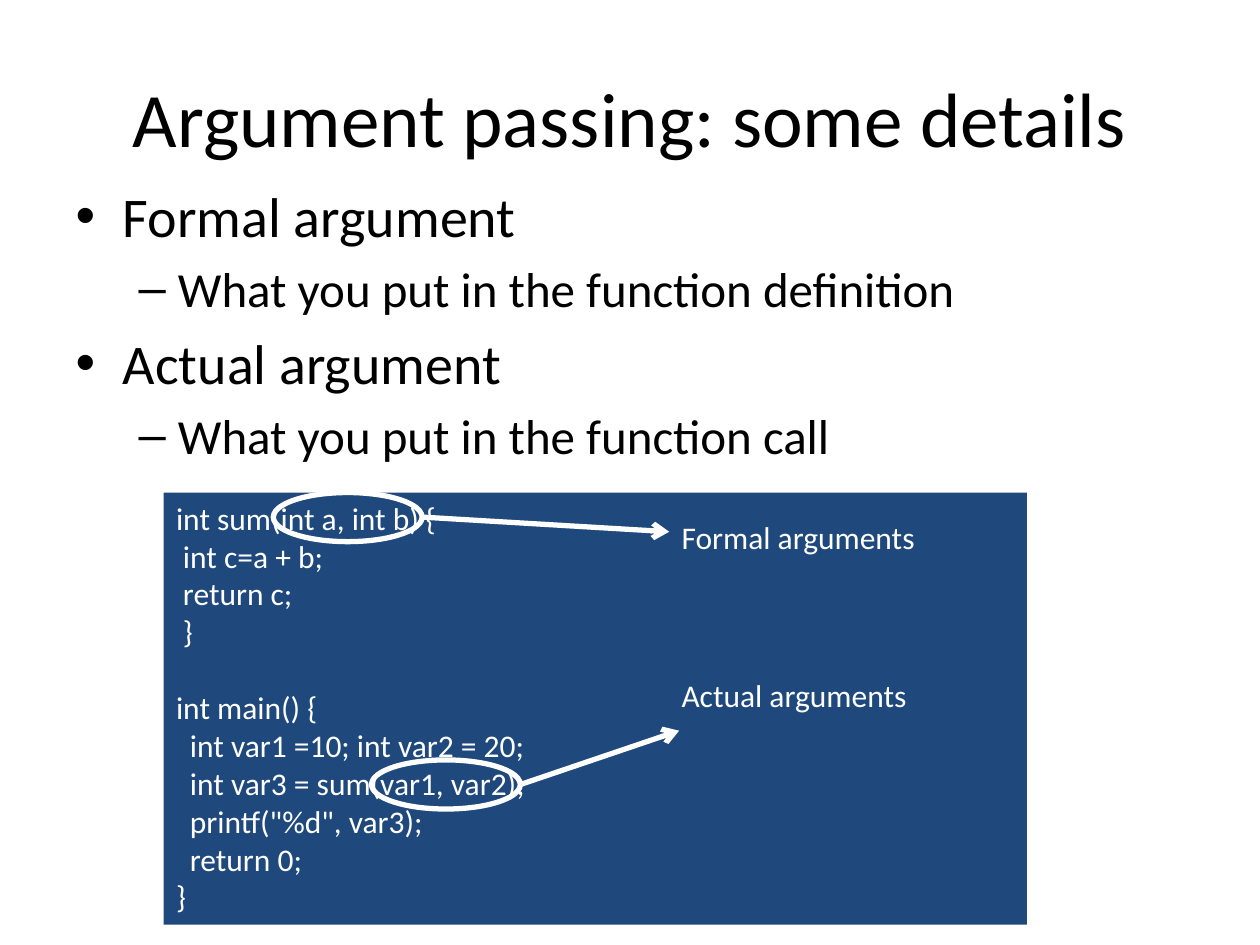
from lxml import etree
from pptx import Presentation
from pptx.dml.color import RGBColor
from pptx.enum import shapes, text
from pptx.oxml.ns import qn
from pptx.util import Cm, Pt

BLACK = RGBColor(0x00, 0x00, 0x00)
WHITE = RGBColor(0xFF, 0xFF, 0xFF)
NAVY = RGBColor(0x1F, 0x49, 0x7D)

TITLE = "Argument passing: some details"
BULLETS = [
    (0, "Formal argument"),
    (1, "What you put in the function definition"),
    (0, "Actual argument"),
    (1, "What you put in the function call"),
]
# Functions of the program: lists of (indent in characters, code)
CODE = [
    [
        (0, "int sum(int a, int b) {"),
        (1, "int c=a + b;"),
        (1, "return c;"),
        (1, "}"),
    ],
    [
        (0, "int main() {"),
        (2, "int var1 =10; int var2 = 20;"),
        (2, "int var3 = sum(var1, var2);"),
        (2, 'printf("%d", var3);'),
        (2, "return 0;"),
        (0, "}"),
    ],
]
# Label, label position, oval position, arrow tip (cm)
CALLOUTS = [
    ("Formal arguments", (13.49, 10.31), (5.51, 9.93), (13.49, 10.72)),
    ("Actual arguments", (13.49, 13.51), (7.49, 15.32), (13.69, 14.73)),
]
TITLE_BOX = (1.27, 0.76, 22.86, 3.18)
BODY_BOX = (1.27, 3.53, 22.86, 12.57)
CODE_BOX = (3.3, 9.93, 17.4, 8.71)
OVAL_SIZE = (3, 0.99)
LABEL_SIZE = (5.99, 1.02)
CHAR_INDENT = 0.14
LINE_HEIGHT = 22

BULLET_FONTS = [
    {"name": "Calibri", "size": Pt(32)},
    {"name": "Calibri", "size": Pt(28)},
]
TITLE_FONT = {"name": "Calibri", "size": Pt(44)}
CODE_FONT = {"name": "Calibri", "size": Pt(18)}


def cm(values):
    return [Cm(v) for v in values]


def place(sp, box):
    sp.left, sp.top, sp.width, sp.height = cm(box)


def add_run(p, words, font, color):
    r = p.add_run()
    r.text = words
    for name, value in font.items():
        setattr(r.font, name, value)
    r.font.color.rgb = color


def next_paragraph(tf, first):
    return tf.paragraphs[0] if first else tf.add_paragraph()


def white_line(sp):
    sp.line.color.rgb = WHITE
    sp.line.width = Pt(3)


def add_headings(s):
    title, body = s.shapes.title, s.placeholders[1]
    place(title, TITLE_BOX)
    add_run(title.text_frame.paragraphs[0], TITLE, TITLE_FONT, BLACK)
    place(body, BODY_BOX)
    for i, (level, words) in enumerate(BULLETS):
        p = next_paragraph(body.text_frame, i == 0)
        p.level = level
        add_run(p, words, BULLET_FONTS[level], BLACK)


def add_code(s):
    sp = s.shapes.add_shape(shapes.MSO_SHAPE.RECTANGLE, *cm(CODE_BOX))
    sp.shadow.inherit = False
    sp.fill.solid()
    sp.fill.fore_color.rgb = NAVY
    sp.line.fill.background()
    tf = sp.text_frame
    tf.word_wrap = True
    tf.vertical_anchor = text.MSO_ANCHOR.TOP
    for i, function in enumerate(CODE):
        for j, (indent, words) in enumerate(function):
            p = next_paragraph(tf, i == j == 0)
            p.alignment = text.PP_ALIGN.LEFT
            if i and j == 0:
                p.space_before = Pt(LINE_HEIGHT)
            if indent:
                p._p.get_or_add_pPr().set("marL", str(Cm(indent * CHAR_INDENT)))
            add_run(p, words, CODE_FONT, WHITE)


def add_callout(group, label, label_at, oval_at, tip):
    oval = group.shapes.add_shape(shapes.MSO_SHAPE.OVAL, *cm(oval_at + OVAL_SIZE))
    oval.shadow.inherit = False
    oval.fill.background()
    white_line(oval)

    start = (oval_at[0] + OVAL_SIZE[0], oval_at[1] + OVAL_SIZE[1] / 2)
    arrow = group.shapes.add_connector(shapes.MSO_CONNECTOR.STRAIGHT, *cm(start + tip))
    white_line(arrow)
    etree.SubElement(arrow.line._get_or_add_ln(), qn("a:tailEnd"), type="arrow")
    etree.SubElement(arrow._element.spPr, qn("a:effectLst"))

    box = group.shapes.add_textbox(*cm(label_at + LABEL_SIZE))
    box.text_frame.word_wrap = True
    add_run(box.text_frame.paragraphs[0], label, CODE_FONT, WHITE)


def main():
    prs = Presentation()
    prs.slide_width, prs.slide_height = Cm(25.4), Cm(19.05)
    s = prs.slides.add_slide(prs.slide_layouts[1])
    add_headings(s)
    add_code(s)
    group = s.shapes.add_group_shape()
    for callout in CALLOUTS:
        add_callout(group, *callout)
    prs.save("out.pptx")


if __name__ == "__main__":
    main()
